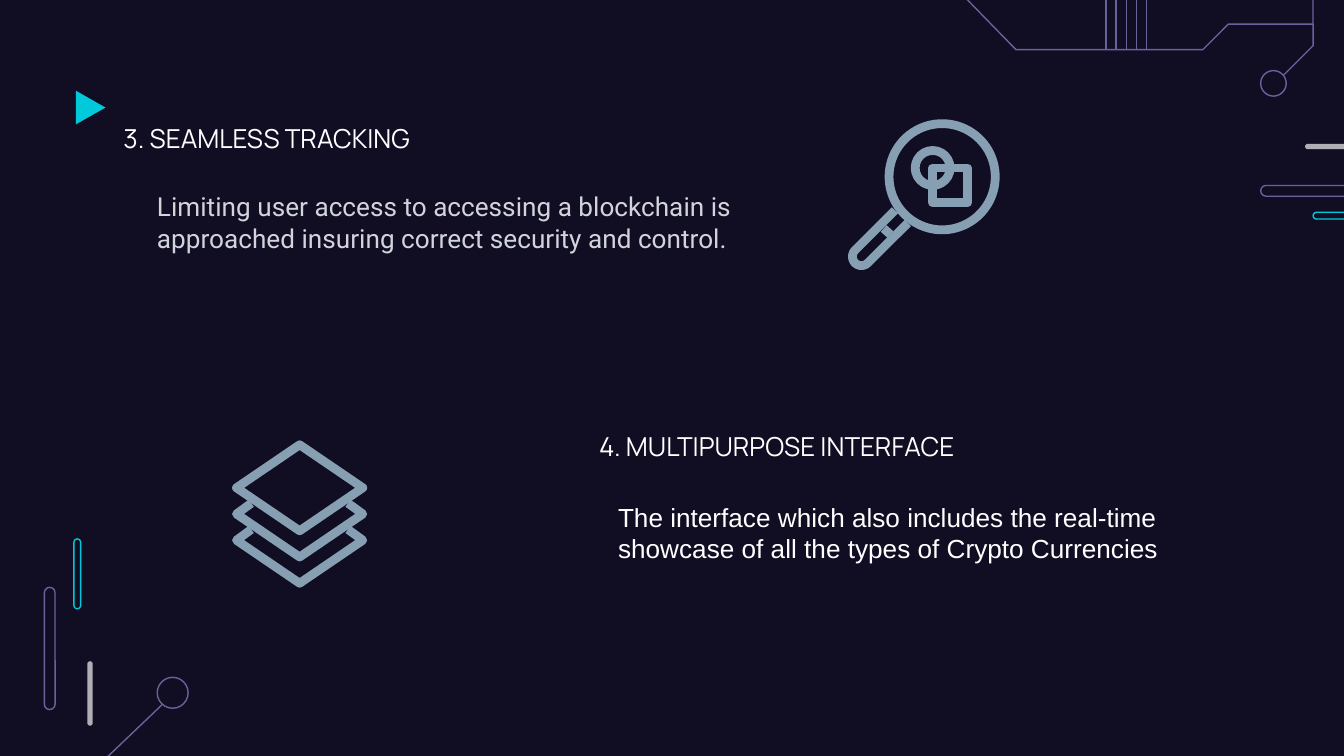
from math import cos, sin, radians
from pptx import Presentation
from pptx.util import Inches, Pt
from pptx.dml.color import RGBColor
from pptx.enum.shapes import MSO_SHAPE as Kind, MSO_CONNECTOR as Link
from pptx.enum.text import MSO_AUTO_SIZE as Fit
from pptx.oxml.ns import qn
from lxml.etree import SubElement

HUES = {"back": "110E24", "wire": "69639C", "cyan": "00CADA", "bar": "AFAFB6",
        "icon": "869FB2", "white": "FFFFFF", "pale": "D1D5DB"}

# Content: text, left, top, width, height, font, colour
TEXTS = [
    ("3. SEAMLESS TRACKING", 0.82, 0.86, 4.43, 0.34, "Manrope", "white"),
    ("Limiting user access to accessing a blockchain is approached insuring "
     "correct security and control.", 1.07, 1.37, 4.5, 0.57, "Roboto", "pale"),
    ("4. MULTIPURPOSE INTERFACE", 4.36, 3.15, 4.43, 0.34, "Manrope", "white"),
    ("The interface which also includes the real-time showcase of all the "
     "types of Crypto Currencies", 4.5, 3.68, 4.99, 0.57, "Arial", "white"),
]

# Circuit wires, their end rings, and pills: left, top, width, height
PATHS = [
    [(7.16, -0.04), (7.56, 0.37), (8.95, 0.37), (9.14, 0.18), (9.77, 0.18),
     (9.77, -0.1)],
    [(9.77, 0.18), (9.77, 0.34), (9.55, 0.56)],
]
LINES = [(0.78, 5.65, 1.21, 5.24)]
LINES += [(8.23 + i * 0.075, -1.3, 8.23 + i * 0.075, 0.37) for i in range(5)]
RINGS = [(1.285, 5.155, 0.115), (9.475, 0.62, 0.095)]
PILLS = [
    (0.55, 4.01, 0.05, 0.52, "cyan", False),
    (0.33, 4.37, 0.08, 0.91, "wire", False),
    (9.77, 1.58, 0.52, 0.05, "cyan", False),
    (9.38, 1.38, 0.91, 0.08, "wire", False),
    (9.71, 1.07, 0.48, 0.04, "bar", True),
    (0.65, 4.92, 0.04, 0.48, "bar", True),
]
THIN, BOLD = 0.75, 4.7

deck = Presentation()
deck.slide_width = Inches(10)
deck.slide_height = deck.slide_width * 9 // 16
slide = deck.slides.add_slide(deck.slide_layouts[6])
parts = slide.shapes


def tint(hue):
    return RGBColor.from_string(HUES[hue])


def fill(shape, hue):
    shape.shadow.inherit = False
    shape.fill.solid()
    shape.fill.fore_color.rgb = tint(hue)
    shape.line.fill.background()


def stroke(shape, hue, width):
    shape.line.color.rgb = tint(hue)
    shape.line.width = Pt(width)
    SubElement(shape._element.spPr.find(qn("a:ln")), qn("a:round"))


def outline(shape, hue, width):
    shape.shadow.inherit = False
    shape.fill.background()
    stroke(shape, hue, width)


def add(kind, x, y, w, h):
    return parts.add_shape(kind, Inches(x), Inches(y), Inches(w), Inches(h))


def ring(x, y, r, hue, width):
    outline(add(Kind.OVAL, x - r, y - r, 2 * r, 2 * r), hue, width)


def trace(spots, hue, width, close=False):
    spots = [(Inches(x), Inches(y)) for x, y in spots]
    pen = parts.build_freeform(*spots[0], scale=1.0)
    pen.add_line_segments(spots[1:], close=close)
    outline(pen.convert_to_shape(), hue, width)


def link(x1, y1, x2, y2, hue, width):
    line = parts.add_connector(Link.STRAIGHT, Inches(x1), Inches(y1),
                               Inches(x2), Inches(y2))
    stroke(line, hue, width)
    SubElement(line._element.spPr, qn("a:effectLst"))


# Background and circuit decor
slide.background.fill.solid()
slide.background.fill.fore_color.rgb = tint("back")
for ends in LINES:
    link(*ends, "wire", THIN)
for spots in PATHS:
    trace(spots, "wire", THIN)
for spot in RINGS:
    ring(*spot, "wire", THIN)
for x, y, w, h, hue, solid in PILLS:
    pill = add(Kind.ROUNDED_RECTANGLE, x, y, w, h)
    pill.adjustments[0] = 0.5
    if solid:
        fill(pill, hue)
    else:
        outline(pill, hue, THIN)

# Cyan pointer
mark = add(Kind.FLOWCHART_MERGE, 0.55, 0.69, 0.25, 0.22)
mark.rotation = 270
fill(mark, "cyan")

# Headings and body text
for text, x, y, w, h, face, hue in TEXTS:
    frame = parts.add_textbox(Inches(x), Inches(y), Inches(w),
                              Inches(h)).text_frame
    frame.word_wrap = True
    frame.auto_size = Fit.SHAPE_TO_FIT_TEXT
    para = frame.paragraphs[0]
    para.text = text
    para.font.size, para.font.name = Pt(14), face
    para.font.color.rgb = tint(hue)

# Magnifier: lens, round-ended handle with collar, and the shapes inside
ring(7.01, 1.315, 0.395, "icon", BOLD)
curve = [(6.41 + 0.067 * cos(radians(a)), 1.91 + 0.067 * sin(radians(a)))
         for a in range(225, 44, -15)]
trace([(6.66, 1.565), *curve, (6.755, 1.66)], "icon", BOLD)
link(6.575, 1.7, 6.625, 1.745, "icon", BOLD)
ring(6.94, 1.25, 0.13, "icon", BOLD)
outline(add(Kind.RECTANGLE, 6.94, 1.25, 0.26, 0.26), "icon", BOLD)

# Layers: one diamond over two open sheets
MID, LEFT, RIGHT, STEP = 2.23, 1.76, 2.70, 0.195
trace([(MID, 3.31), (RIGHT, 3.63), (MID, 3.95), (LEFT, 3.63)],
      "icon", BOLD, close=True)
for i in (1, 2):
    y = 3.63 + i * STEP
    trace([(LEFT + 0.11, y - 0.08), (LEFT, y), (MID, y + 0.32),
           (RIGHT, y), (RIGHT - 0.11, y - 0.08)], "icon", BOLD)

deck.save("out.pptx")
